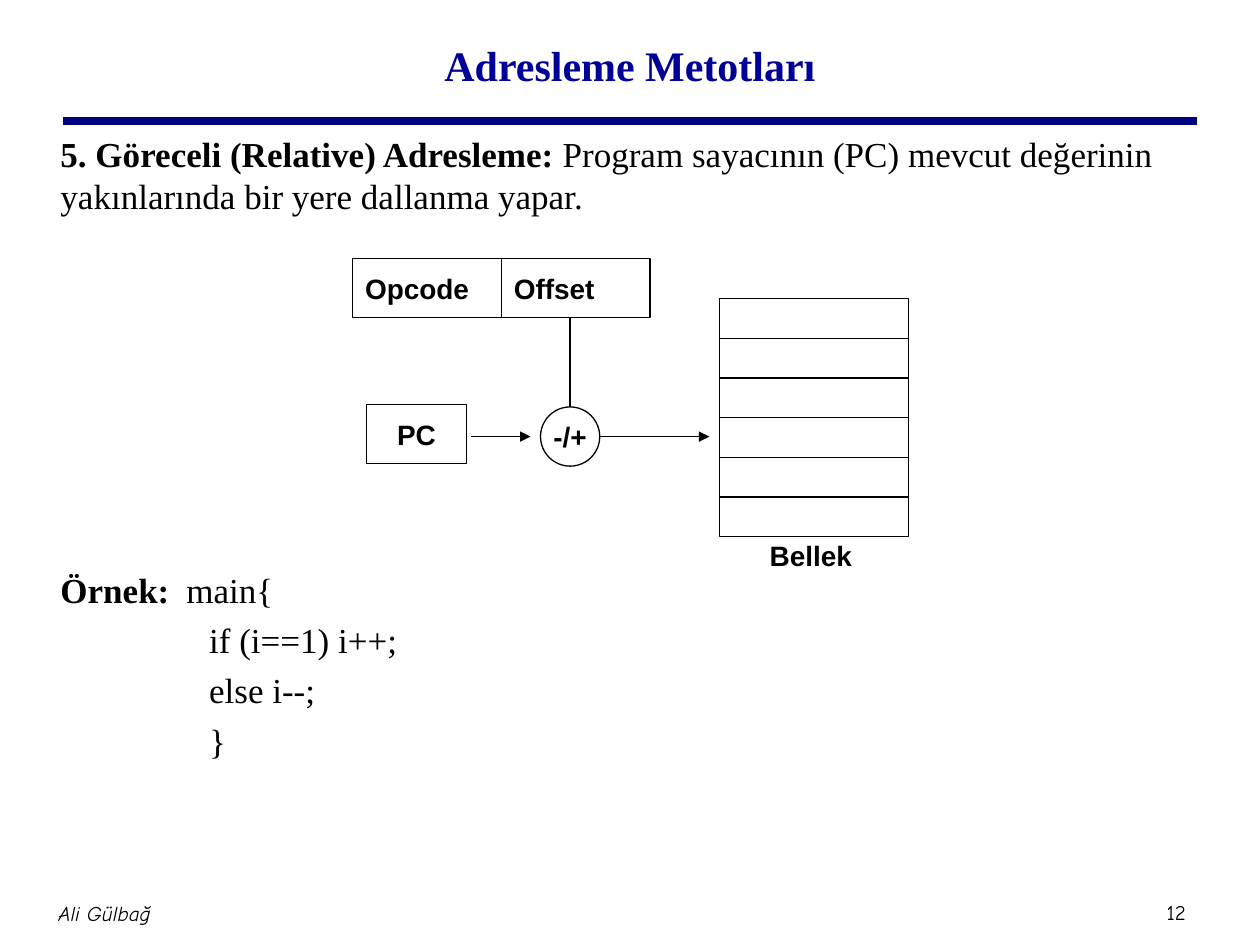
import pptx
import pptx.util
import pptx.dml.color
import pptx.enum.shapes
import pptx.enum.text
import pptx.oxml.ns
import lxml.etree

Inches, Pt = pptx.util.Inches, pptx.util.Pt
RGBColor = pptx.dml.color.RGBColor
Shapes = pptx.enum.shapes.MSO_SHAPE
Align = pptx.enum.text.PP_ALIGN
Anchor = pptx.enum.text.MSO_ANCHOR

BLACK = RGBColor(0, 0, 0)
WHITE = RGBColor(255, 255, 255)
NAVY = RGBColor(0, 0, 0x80)
TITLE_BLUE = RGBColor(0, 0, 0x99)

# Content
TITLE = "Adresleme Metotları"
# Each paragraph: (bold text, plain text, left margin in inches, space before in points)
BODY = [
    ("5. Göreceli (Relative) Adresleme: ",
     "Program sayacının (PC) mevcut değerinin yakınlarında bir yere dallanma yapar.", 0, 0),
    ("Örnek:", "\tmain{", 0, 201),  # the space leaves room for the diagram
    ("", "if (i==1) i++;", 1.18, 4.8),
    ("", "else i--;", 1.18, 4.8),
    ("", "}", 1.18, 4.8),
]
CODE_TAB = 1.15
INSTRUCTION = ["Opcode", "Offset"]
FOOTERS = [("Ali Gülbağ", 0.36, 7, 0.94, 0.5, True),
           ("12", 9.1, 7.09, 0.47, 0.3, False)]

# Diagram geometry, in inches
FIELD_LEFT, FIELD_TOP, FIELD_WIDTH, BOX_HEIGHT = 2.8, 2.05, 1.18, 0.47
MEMORY_LEFT, MEMORY_TOP, MEMORY_WIDTH, MEMORY_HEIGHT = 5.71, 2.37, 1.5, 1.89
MEMORY_ROWS = 6
ADDER_LEFT, ADDER_TOP = 4.29, 3.23
ADDER_X, ADDER_Y = ADDER_LEFT + BOX_HEIGHT / 2, ADDER_TOP + BOX_HEIGHT / 2

presentation = pptx.Presentation()
presentation.slide_width, presentation.slide_height = Inches(10), Inches(7.5)
slide = presentation.slides.add_slide(presentation.slide_layouts[1])


def place(shape, left, top, width, height):
    shape.left, shape.top = Inches(left), Inches(top)
    shape.width, shape.height = Inches(width), Inches(height)


def set_font(paragraph, name, size, color=BLACK, bold=None, italic=None):
    font = paragraph.font
    font.name, font.size, font.bold, font.italic = name, Pt(size), bold, italic
    font.color.rgb = color


def add_label(shape, text, align=Align.CENTER):
    frame = shape.text_frame
    frame.word_wrap = False
    frame.vertical_anchor = Anchor.MIDDLE
    paragraph = frame.paragraphs[0]
    paragraph.text, paragraph.alignment = text, align
    set_font(paragraph, "Arial", 16, bold=True)


def add_box(kind, left, top, width, height):
    shape = slide.shapes.add_shape(kind, *map(Inches, (left, top, width, height)))
    shape.shadow.inherit = False
    shape.fill.solid()
    shape.fill.fore_color.rgb = WHITE
    shape.line.color.rgb = BLACK
    shape.line.width = Pt(0.75)
    return shape


def add_line(x1, y1, x2, y2, color=BLACK, width=0.75, arrow=False):
    line = slide.shapes.add_connector(
        pptx.enum.shapes.MSO_CONNECTOR.STRAIGHT, *map(Inches, (x1, y1, x2, y2)))
    line.line.color.rgb = color
    line.line.width = Pt(width)
    qn = pptx.oxml.ns.qn
    if arrow:
        lxml.etree.SubElement(line.line._get_or_add_ln(), qn("a:tailEnd"), type="triangle")
    lxml.etree.SubElement(line._element.spPr, qn("a:effectLst"))
    return line


def set_up_paragraph(paragraph, margin):
    """Remove the bullet, set the left margin and add the tab stop."""
    qn = pptx.oxml.ns.qn
    properties = paragraph._p.get_or_add_pPr()
    properties.set("marL", str(Inches(margin)))
    properties.set("indent", "0")
    lxml.etree.SubElement(properties, qn("a:buNone"))
    tabs = lxml.etree.SubElement(properties, qn("a:tabLst"))
    lxml.etree.SubElement(tabs, qn("a:tab"), pos=str(Inches(CODE_TAB)), algn="l")


# Title and rule
title = slide.shapes.title
place(title, 0.75, 0.08, 8.5, 0.86)
title.text_frame.text = TITLE
title.text_frame.vertical_anchor = Anchor.MIDDLE
title.text_frame.paragraphs[0].alignment = Align.CENTER
set_font(title.text_frame.paragraphs[0], "Times New Roman", 24, TITLE_BLUE, bold=True)
add_line(0.5, 0.96, 9.5, 0.96, NAVY, 4.5)

# Body text
body = slide.placeholders[1]
place(body, 0.38, 1, 9.16, 5.55)
frame = body.text_frame
frame.auto_size = pptx.enum.text.MSO_AUTO_SIZE.NONE
frame.vertical_anchor = Anchor.TOP
for index, (strong, plain, margin, space) in enumerate(BODY):
    paragraph = frame.add_paragraph() if index else frame.paragraphs[0]
    set_up_paragraph(paragraph, margin)
    paragraph.space_before = Pt(space)
    set_font(paragraph, "Times New Roman", 20)
    for text, bold in ((strong, True), (plain, False)):
        if text:
            run = paragraph.add_run()
            run.text, run.font.bold = text, bold

# Instruction fields
for index, name in enumerate(INSTRUCTION):
    field = add_box(Shapes.RECTANGLE, FIELD_LEFT + index * FIELD_WIDTH, FIELD_TOP,
                    FIELD_WIDTH, BOX_HEIGHT)
    add_label(field, name, Align.LEFT)

# Memory
add_box(Shapes.RECTANGLE, MEMORY_LEFT, MEMORY_TOP, MEMORY_WIDTH, MEMORY_HEIGHT)
for row in range(1, MEMORY_ROWS):
    y = MEMORY_TOP + row * MEMORY_HEIGHT / MEMORY_ROWS
    add_line(MEMORY_LEFT, y, MEMORY_LEFT + MEMORY_WIDTH, y)
caption = slide.shapes.add_textbox(
    Inches(MEMORY_LEFT), Inches(MEMORY_TOP + MEMORY_HEIGHT), Inches(1.45), Inches(0.3))
add_label(caption, "Bellek")

# Program counter and adder
counter = add_box(Shapes.RECTANGLE, 2.91, 3.21, 0.79, BOX_HEIGHT)
add_label(counter, "PC")
adder = add_box(Shapes.OVAL, ADDER_LEFT, ADDER_TOP, BOX_HEIGHT, BOX_HEIGHT)
add_label(adder, "-/+")

# Links
offset_link = add_line(ADDER_X, FIELD_TOP + BOX_HEIGHT, ADDER_X, ADDER_TOP)
offset_link.end_connect(adder, 0)
add_line(3.74, ADDER_Y, 4.21, ADDER_Y, arrow=True)
add_line(ADDER_LEFT + BOX_HEIGHT, ADDER_Y, 5.63, ADDER_Y, arrow=True)

# Footer
for text, left, top, width, height, italic in FOOTERS:
    footer = slide.shapes.add_textbox(*map(Inches, (left, top, width, height)))
    frame = footer.text_frame
    frame.word_wrap = True
    frame.vertical_anchor = Anchor.MIDDLE
    frame.margin_left = frame.margin_right = Inches(0.05)
    frame.margin_top = frame.margin_bottom = Inches(0.05)
    paragraph = frame.paragraphs[0]
    paragraph.text, paragraph.alignment = text, Align.CENTER
    set_font(paragraph, "Comic Neue", 12, italic=italic)

presentation.save("out.pptx")
